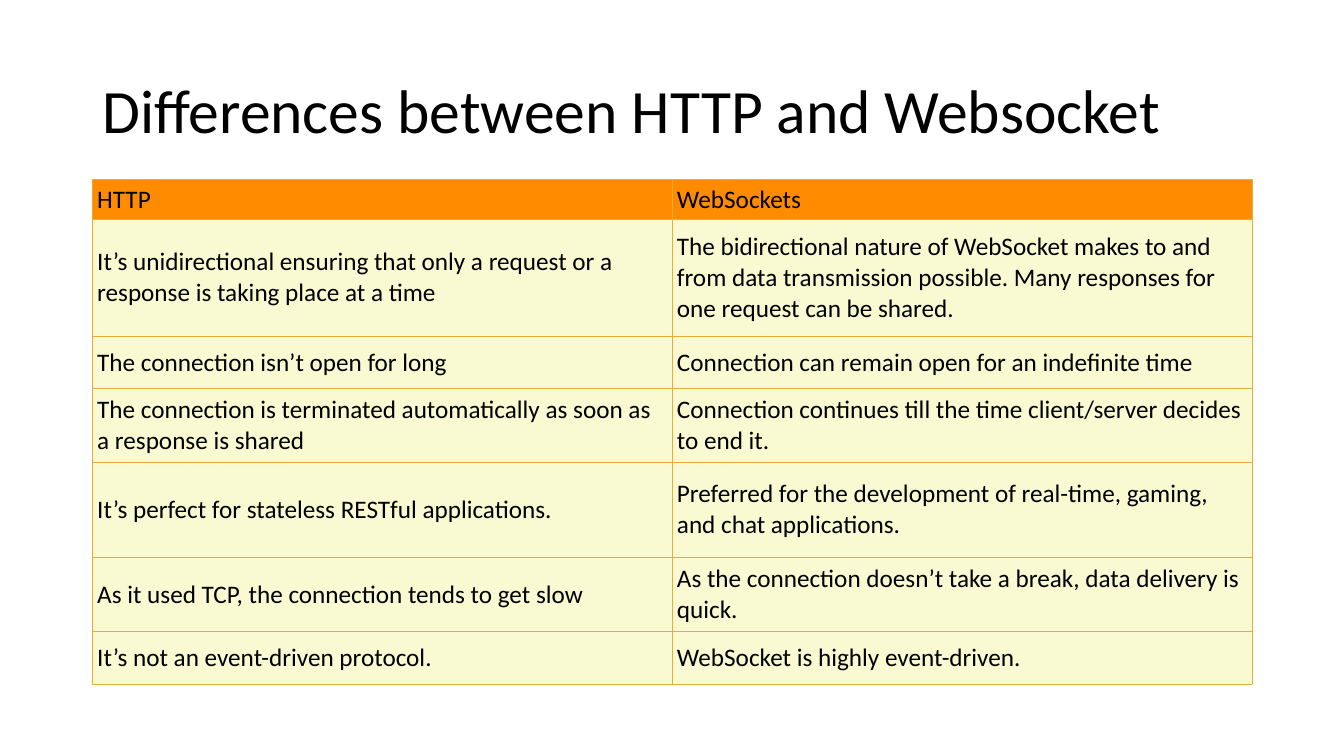
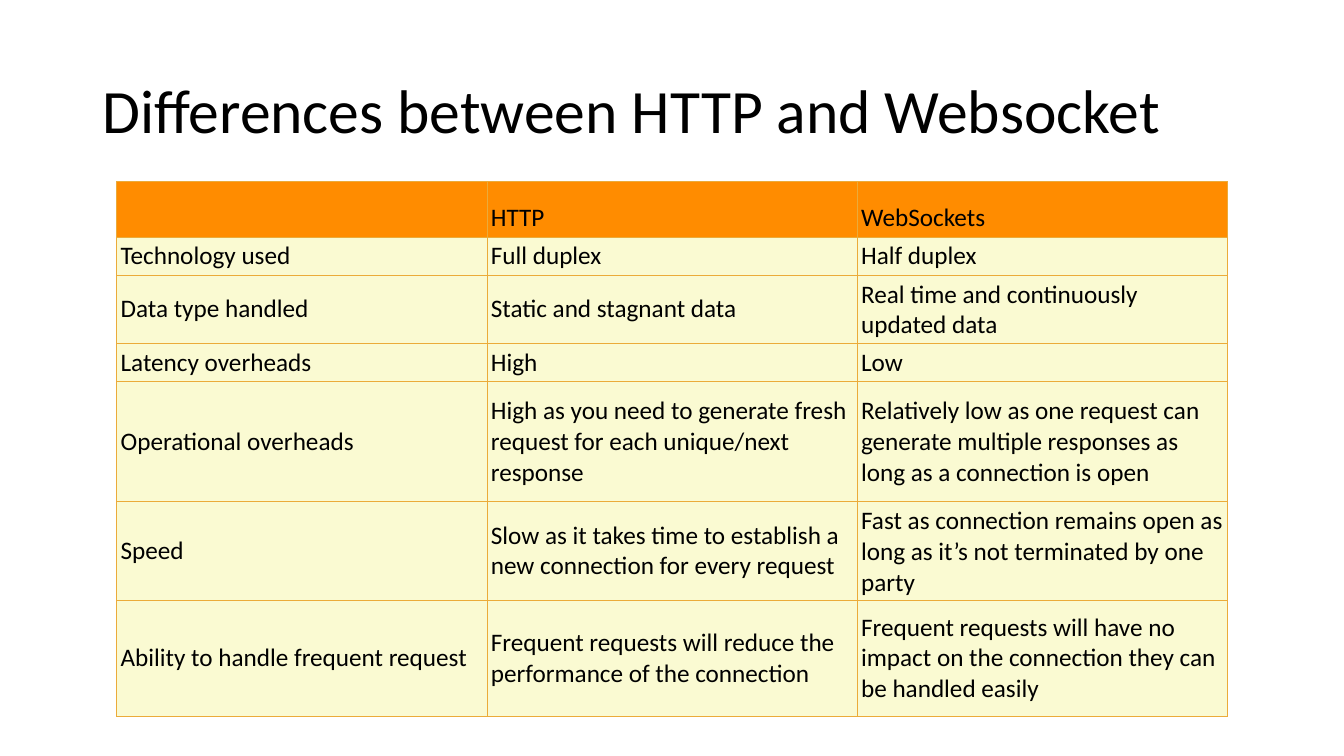
import pptx
import pptx.util
import pptx.dml.color
import pptx.enum.text
import pptx.oxml
import pptx.oxml.ns

Cm = pptx.util.Cm
Pt = pptx.util.Pt
RGBColor = pptx.dml.color.RGBColor
Anchor = pptx.enum.text.MSO_ANCHOR

COLORS = {"text": "000000", "header": "FF8C00", "body": "FAFAD2", "border": "EBAB3A"}
FONT = "Calibri"
TITLE = "Differences between HTTP and Websocket"
BORDER_WIDTH = Pt(0.6)

COMPARISONS = [
    {
        "left": 2.33, "top": 4.52, "column_width": 14.61, "margin": 0.12,
        "header_anchor": Anchor.MIDDLE,
        "heights": [0.79, 2.95, 1.32, 1.85, 2.4, 1.87, 1.32],
        "rows": [
            ["HTTP", "WebSockets"],
            ["It’s unidirectional ensuring that only a request or a response is taking place at a time",
             "The bidirectional nature of WebSocket makes to and from data transmission possible. "
             "Many responses for one request can be shared."],
            ["The connection isn’t open for long",
             "Connection can remain open for an indefinite time"],
            ["The connection is terminated automatically as soon as a response is shared",
             "Connection continues till the time client/server decides to end it."],
            ["It’s perfect for stateless RESTful applications.",
             "Preferred for the development of real-time, gaming, and chat applications."],
            ["As it used TCP, the connection tends to get slow",
             "As the connection doesn’t take a break, data delivery is quick."],
            ["It’s not an event-driven protocol.", "WebSocket is highly event-driven."],
        ],
    },
    {
        "left": 2.94, "top": 4.57, "column_width": 9.33, "margin": 0.1,
        "header_anchor": Anchor.BOTTOM,
        "heights": [1.4, 0.95, 1.7, 0.95, 3.02, 2.45, 2.92],
        "rows": [
            ["", "HTTP", "WebSockets"],
            ["Technology used", "Full duplex", "Half duplex"],
            ["Data type handled", "Static and stagnant data",
             "Real time and continuously updated data"],
            ["Latency overheads", "High", "Low"],
            ["Operational overheads",
             "High as you need to generate fresh request for each unique/next response",
             "Relatively low as one request can generate multiple responses as long as a connection is open"],
            ["Speed",
             "Slow as it takes time to establish a new connection for every request",
             "Fast as connection remains open as long as it’s not terminated by one party"],
            ["Ability to handle frequent request",
             "Frequent requests will reduce the performance of the connection",
             "Frequent requests will have no impact on the connection they can be handled easily"],
        ],
    },
]


def format_text(paragraph, size):
    for run in paragraph.runs:
        run.font.name = FONT
        run.font.size = Pt(size)
        run.font.bold = False
        run.font.color.rgb = RGBColor.from_string(COLORS["text"])


def add_borders(cell):
    properties = cell._tc.get_or_add_tcPr()
    for position, side in enumerate(["lnL", "lnR", "lnT", "lnB"]):
        line = pptx.oxml.parse_xml(
            f'<a:{side} {pptx.oxml.ns.nsdecls("a")} w="{BORDER_WIDTH}"><a:solidFill>'
            f'<a:srgbClr val="{COLORS["border"]}"/></a:solidFill></a:{side}>'
        )
        properties.insert(position, line)


presentation = pptx.Presentation()
presentation.slide_width = Cm(33.87)
presentation.slide_height = Cm(19.05)

for comparison in COMPARISONS:
    slide = presentation.slides.add_slide(presentation.slide_layouts[6])

    title = slide.shapes.add_textbox(Cm(2.33), Cm(1.01), Cm(29.21), Cm(3.68))
    title.text_frame.word_wrap = True
    title.text_frame.vertical_anchor = Anchor.MIDDLE
    title.text_frame.text = TITLE
    title.text_frame.paragraphs[0].line_spacing = 0.9
    format_text(title.text_frame.paragraphs[0], 44)

    rows = comparison["rows"]
    column_count = len(rows[0])
    table = slide.shapes.add_table(
        len(rows), column_count,
        Cm(comparison["left"]), Cm(comparison["top"]),
        Cm(comparison["column_width"] * column_count), Cm(sum(comparison["heights"])),
    ).table
    table.first_row = True
    table.horz_banding = False
    for column in table.columns:
        column.width = Cm(comparison["column_width"])

    for row_index, texts in enumerate(rows):
        table.rows[row_index].height = Cm(comparison["heights"][row_index])
        is_header = row_index == 0
        for column_index, text in enumerate(texts):
            cell = table.cell(row_index, column_index)
            cell.text_frame.text = text
            format_text(cell.text_frame.paragraphs[0], 18)
            cell.vertical_anchor = comparison["header_anchor"] if is_header else Anchor.MIDDLE
            margin = Cm(comparison["margin"])
            cell.margin_left = cell.margin_right = margin
            cell.margin_top = cell.margin_bottom = margin
            cell.fill.solid()
            cell.fill.fore_color.rgb = RGBColor.from_string(COLORS["header" if is_header else "body"])
            add_borders(cell)

presentation.save("out.pptx")
